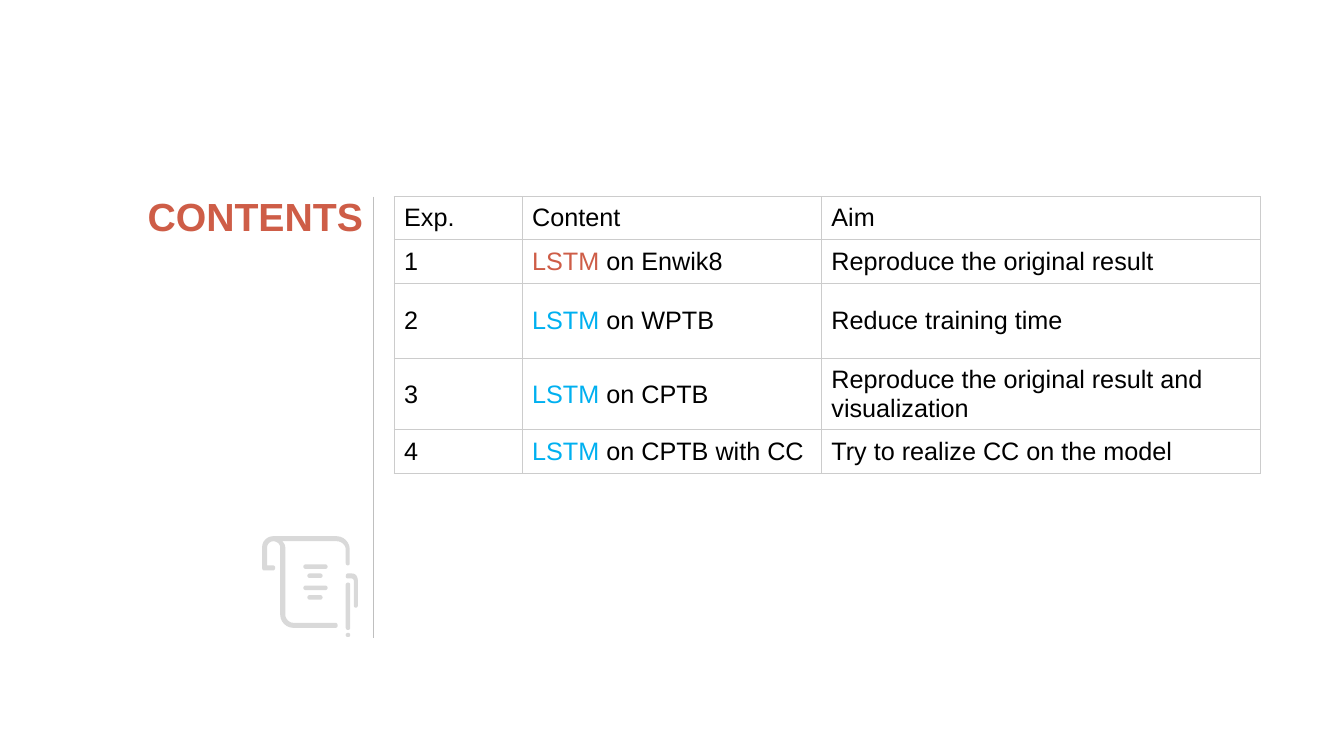
import math

from lxml import etree
from pptx import Presentation
from pptx.dml.color import RGBColor
from pptx.enum.shapes import MSO_CONNECTOR
from pptx.enum.text import MSO_ANCHOR, MSO_AUTO_SIZE, PP_ALIGN
from pptx.oxml import parse_xml
from pptx.oxml.ns import nsdecls, qn
from pptx.util import Pt

STRAIGHT = MSO_CONNECTOR.STRAIGHT
MIDDLE = MSO_ANCHOR.MIDDLE
RIGHT = PP_ALIGN.RIGHT
FIT_SHAPE = MSO_AUTO_SIZE.SHAPE_TO_FIT_TEXT

COLORS = {
    "accent": "CE5D47",
    "blue": "00B0F0",
    "text": "000000",
    "white": "FFFFFF",
    "rule": "BFBFBF",
    "border": "CCCCCC",
    "icon": "D9D9D9",
}
TITLE_FONT = {"name": "Arial", "size": Pt(28), "bold": True}
CELL_FONT = {"name": "Arial", "size": Pt(18), "bold": False}

COL_WIDTHS = [91.4, 213.8, 314]
ROW_HEIGHTS = [31, 31, 54, 50.5, 31]
# Each cell is a list of (text, colour) runs.
ROWS = [
    [[("Exp.", "text")], [("Content", "text")], [("Aim", "text")]],
    [[("1", "text")], [("LSTM", "accent"), (" on Enwik8", "text")],
     [("Reproduce the original result", "text")]],
    [[("2", "text")], [("LSTM", "blue"), (" on WPTB", "text")],
     [("Reduce training time", "text")]],
    [[("3", "text")], [("LSTM", "blue"), (" on CPTB", "text")],
     [("Reproduce the original result and visualization", "text")]],
    [[("4", "text")], [("LSTM", "blue"), (" on CPTB with CC", "text")],
     [("Try to realize CC on the model", "text")]],
]

# Icon outlines on a grid of 0.72 pt: pairs are corners, sixes are Bezier curves.
ICON_UNIT = 0.72
SCROLL = [
    (83, 13), (83, 27), (83, 28, 84, 29, 85, 29), (86, 29, 87, 28, 87, 27),
    (87, 13), (87, 6, 81, 0, 74, 0), (11, 0), (5, 0, 0, 5, 0, 11),
    (0, 31), (0, 33, 1, 34, 2, 34), (11, 34), (12, 34, 13, 33, 13, 31),
    (13, 30, 12, 29, 11, 29), (5, 29), (5, 11), (5, 8, 8, 5, 11, 5),
    (15, 5, 18, 8, 18, 11), (18, 78), (18, 85, 24, 91, 31, 91), (73, 91),
    (74, 91, 75, 90, 75, 89), (75, 87, 74, 86, 73, 86), (31, 86),
    (27, 86, 23, 82, 23, 78), (23, 11), (23, 9, 22, 7, 20, 5), (74, 5),
    (79, 5, 83, 9, 83, 13),
]
PEN_CLIP = [
    (89, 37), (85, 37), (84, 37, 83, 38, 83, 40), (83, 41, 84, 42, 85, 42),
    (89, 42), (90, 42, 91, 43, 91, 44), (91, 69), (91, 70, 92, 71, 93, 71),
    (94, 71, 95, 70, 95, 69), (95, 44), (95, 40, 93, 37, 89, 37),
]
# Round-ended bars: left, top, right, bottom.
TEXT_BARS = [(41, 28, 65, 32.5), (45, 37, 60, 41.5),
             (41, 49, 65, 53.5), (45, 58.5, 60, 63)]
PEN_BARS = [(83, 46, 87.5, 93), (83, 96, 87.5, 100)]


def rgb(key):
    return RGBColor.from_string(COLORS[key])


def add_run(p, text, color, fmt):
    r = p.add_run()
    r.text = text
    for name, value in fmt.items():
        setattr(r.font, name, value)
    r.font.color.rgb = rgb(color)


def add_rule(slide, x, top, bottom):
    line = slide.shapes.add_connector(STRAIGHT, Pt(x), Pt(top), Pt(x), Pt(bottom))
    line.line.color.rgb = rgb("rule")
    line.line.width = Pt(0.25)
    etree.SubElement(line.element.spPr, qn("a:effectLst"))
    return line


def set_title(slide, text, left, top, width, height):
    sp = slide.shapes.title
    sp.left, sp.top, sp.width, sp.height = Pt(left), Pt(top), Pt(width), Pt(height)
    sp.fill.solid()
    sp.fill.fore_color.rgb = rgb("white")
    tf = sp.text_frame
    tf.word_wrap = True
    tf.auto_size = FIT_SHAPE
    tf.vertical_anchor = MIDDLE
    p = tf.paragraphs[0]
    p.alignment = RIGHT
    add_run(p, text, "accent", TITLE_FONT)
    return sp


def flatten(outline, steps=6):
    """Turn corners and Bezier curves into a list of points."""
    points = []
    for seg in outline:
        if len(seg) == 2:
            points.append(seg)
            continue
        curve = [points[-1], seg[:2], seg[2:4], seg[4:]]
        for i in range(1, steps + 1):
            t = i / steps
            weights = [math.comb(3, k) * t**k * (1 - t)**(3 - k) for k in range(4)]
            points.append(tuple(sum(w * pt[axis] for w, pt in zip(weights, curve))
                                for axis in (0, 1)))
    return points


def round_bar(left, top, right, bottom, steps=24):
    radius = min(right - left, bottom - top) / 2
    dx, dy = (right - left) / 2 - radius, (bottom - top) / 2 - radius
    points = []
    for i in range(steps):
        c, s = (f((i + 0.5) * math.tau / steps) for f in (math.cos, math.sin))
        points.append(((left + right) / 2 + math.copysign(dx, c) + radius * c,
                       (top + bottom) / 2 + math.copysign(dy, s) + radius * s))
    return points


def add_icon(slide, left, top):
    outlines = [flatten(SCROLL), flatten(PEN_CLIP)]
    outlines += [round_bar(*bar) for bar in TEXT_BARS + PEN_BARS]
    # The builder keeps whole numbers only, so the grid is made 100 times finer.
    fine = [[(x * 100, y * 100) for x, y in pts] for pts in outlines]
    builder = slide.shapes.build_freeform(*fine[0][0], scale=Pt(ICON_UNIT) / 100)
    builder.add_line_segments(fine[0][1:], close=True)
    for pts in fine[1:]:
        builder.move_to(*pts[0])
        builder.add_line_segments(pts[1:], close=True)
    sp = builder.convert_to_shape(Pt(left), Pt(top))
    sp.shadow.inherit = False
    sp.fill.solid()
    sp.fill.fore_color.rgb = rgb("icon")
    sp.line.fill.background()


def set_borders(cell):
    tcPr = cell._tc.get_or_add_tcPr()
    for i, side in enumerate(("lnL", "lnR", "lnT", "lnB")):
        tcPr.insert(i, parse_xml(
            f'<a:{side} {nsdecls("a")} w="{Pt(0.75)}"><a:solidFill>'
            f'<a:srgbClr val="{COLORS["border"]}"/></a:solidFill></a:{side}>'))


def add_experiment_table(slide, left, top):
    frame = slide.shapes.add_table(len(ROWS), len(COL_WIDTHS), Pt(left), Pt(top),
                                   Pt(sum(COL_WIDTHS)), Pt(sum(ROW_HEIGHTS)))
    table = frame.table
    table.first_row = table.horz_banding = False
    for col, width in zip(table.columns, COL_WIDTHS):
        col.width = Pt(width)
    for row, height, contents in zip(table.rows, ROW_HEIGHTS, ROWS):
        row.height = Pt(height)
        for cell, runs in zip(row.cells, contents):
            cell.fill.background()
            cell.vertical_anchor = MIDDLE
            set_borders(cell)
            for text, color in runs:
                add_run(cell.text_frame.paragraphs[0], text, color, CELL_FONT)


def main():
    prs = Presentation()
    prs.slide_width, prs.slide_height = Pt(960), Pt(540)
    slide = prs.slides.add_slide(prs.slide_layouts[5])
    title = set_title(slide, "CONTENTS", 59.8, 134, 206.6, 41)
    rule = add_rule(slide, 266.4, 140.4, 455.8)
    rule.element.addnext(title.element)  # the title's white box covers the rule's top
    add_icon(slide, 187.2, 383)
    add_experiment_table(slide, 281.5, 140.4)
    prs.save("out.pptx")


if __name__ == "__main__":
    main()
